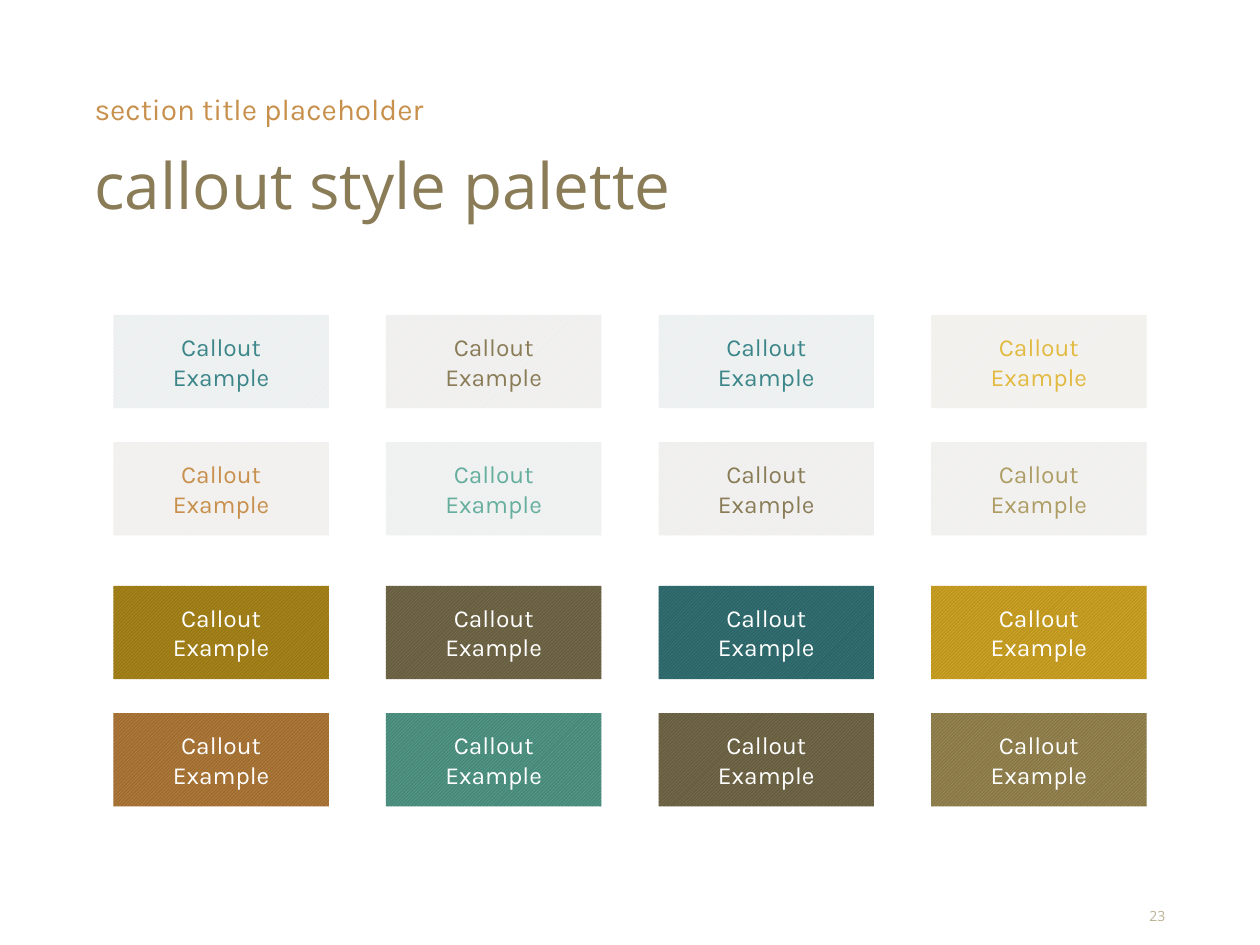
from pptx import Presentation
from pptx.dml.color import RGBColor
from pptx.enum.dml import MSO_PATTERN
from pptx.enum.shapes import MSO_SHAPE
from pptx.enum.text import MSO_ANCHOR, MSO_AUTO_SIZE, PP_ALIGN
from pptx.oxml.ns import qn
from pptx.util import Inches, Pt
from lxml.etree import SubElement

COLORS = {
    "teal": "3C8689", "taupe": "897C57", "gold": "E2BA41", "copper": "C8904D",
    "mint": "66AF9E", "khaki": "AF9D66", "olive": "7E6413",
    "pale_teal": "D3EBEC", "pale_taupe": "E9E5DC", "pale_gold": "F9F1D9",
    "pale_copper": "F4E9DB", "pale_mint": "E0EFEC", "pale_khaki": "EFEBE0",
    "deep_teal": "2D6467", "deep_taupe": "675D41", "deep_gold": "BD951D",
    "deep_copper": "9F6D31", "deep_mint": "478879", "deep_khaki": "887847",
    "deep_olive": "A48219", "mist": "F2F2F2", "white": "FFFFFF", "number": "BCB296",
}
LIGHT_ROWS = [["teal", "taupe", "teal", "gold"], ["copper", "mint", "taupe", "khaki"]]
DARK_ROWS = [["olive", "taupe", "teal", "gold"], ["copper", "mint", "taupe", "khaki"]]
CALLOUT_WIDTH, CALLOUT_HEIGHT = 1.71, 0.74


def color(name):
    """Return the named colour."""
    return RGBColor.from_string(COLORS[name])


def place(shape, box):
    """Move a shape to a left, top, width, height box in inches."""
    shape.left, shape.top, shape.width, shape.height = map(Inches, box)


def write(shape, text, font_name, size, color_name, align=PP_ALIGN.LEFT,
          anchor=MSO_ANCHOR.TOP, inset=0):
    """Fill a shape with one formatted paragraph and return it."""
    frame = shape.text_frame
    frame.text = text
    frame.word_wrap = True
    frame.auto_size = MSO_AUTO_SIZE.NONE
    frame.vertical_anchor = anchor
    frame.margin_left = frame.margin_right = Inches(inset)
    frame.margin_top = frame.margin_bottom = Inches(inset)
    paragraph = frame.paragraphs[0]
    paragraph.alignment = align
    paragraph.space_before = Pt(0)
    paragraph.font.name = font_name
    paragraph.font.size = Pt(size)
    paragraph.font.color.rgb = color(color_name)
    return paragraph


def add_heading(slide, box):
    """Set the section line above the slide title."""
    left, top, width, height = box
    section_height = height * 0.33
    title, section = slide.shapes.title, slide.placeholders[1]
    place(title, (left, top + section_height, width, height - section_height))
    place(section, (left, top, width, section_height))
    write(title, "callout style palette", "Open Sans", 36.5, "taupe").line_spacing = 0.85
    paragraph = write(section, "section title placeholder", "Karla", 17, "copper")
    paragraph.line_spacing = 0.85
    properties = paragraph._p.get_or_add_pPr()
    properties.set("marL", "0")
    properties.set("indent", "0")
    bullet = SubElement(properties, qn("a:buNone"))
    properties.find(qn("a:defRPr")).addprevious(bullet)


def add_callout(slide, box, stripe, ground, text_color):
    """Draw one striped callout."""
    shape = slide.shapes.add_shape(MSO_SHAPE.RECTANGLE, *map(Inches, box))
    shape.shadow.inherit = False
    shape.line.fill.background()
    shape.fill.patterned()
    shape.fill.pattern = MSO_PATTERN.DARK_UPWARD_DIAGONAL
    shape.fill.fore_color.rgb = color(stripe)
    shape.fill.back_color.rgb = color(ground)
    write(shape, "Callout Example", "Karla", 14, text_color,
          PP_ALIGN.CENTER, MSO_ANCHOR.MIDDLE, 0.25)


def add_palette(slide, box, rows, dark):
    """Spread rows of callouts evenly over a box."""
    left, top, width, height = box
    column_step = (width - CALLOUT_WIDTH) / (len(rows[0]) - 1)
    row_step = (height - CALLOUT_HEIGHT) / (len(rows) - 1)
    for row, names in enumerate(rows):
        for column, name in enumerate(names):
            cell = (left + column * column_step, top + row * row_step,
                    CALLOUT_WIDTH, CALLOUT_HEIGHT)
            if dark:
                add_callout(slide, cell, name, f"deep_{name}", "white")
            else:
                add_callout(slide, cell, f"pale_{name}", "mist", name)


def add_page_number(slide, box):
    """Write the page number at the lower right."""
    shape = slide.shapes.add_textbox(*map(Inches, box))
    write(shape, "23", "Open Sans", 8, "number", PP_ALIGN.RIGHT, MSO_ANCHOR.BOTTOM)


def main():
    """Build and save the slide."""
    presentation = Presentation()
    presentation.slide_width, presentation.slide_height = Inches(10), Inches(7.5)
    slide = presentation.slides.add_slide(presentation.slide_layouts[1])
    add_heading(slide, (0.75, 0.76, 8.5, 1.49))
    add_palette(slide, (0.9, 2.5, 8.2, 1.75), LIGHT_ROWS, dark=False)
    add_palette(slide, (0.9, 4.65, 8.2, 1.75), DARK_ROWS, dark=True)
    add_page_number(slide, (8.93, 7.21, 0.32, 0.13))
    presentation.save("out.pptx")


if __name__ == "__main__":
    main()
